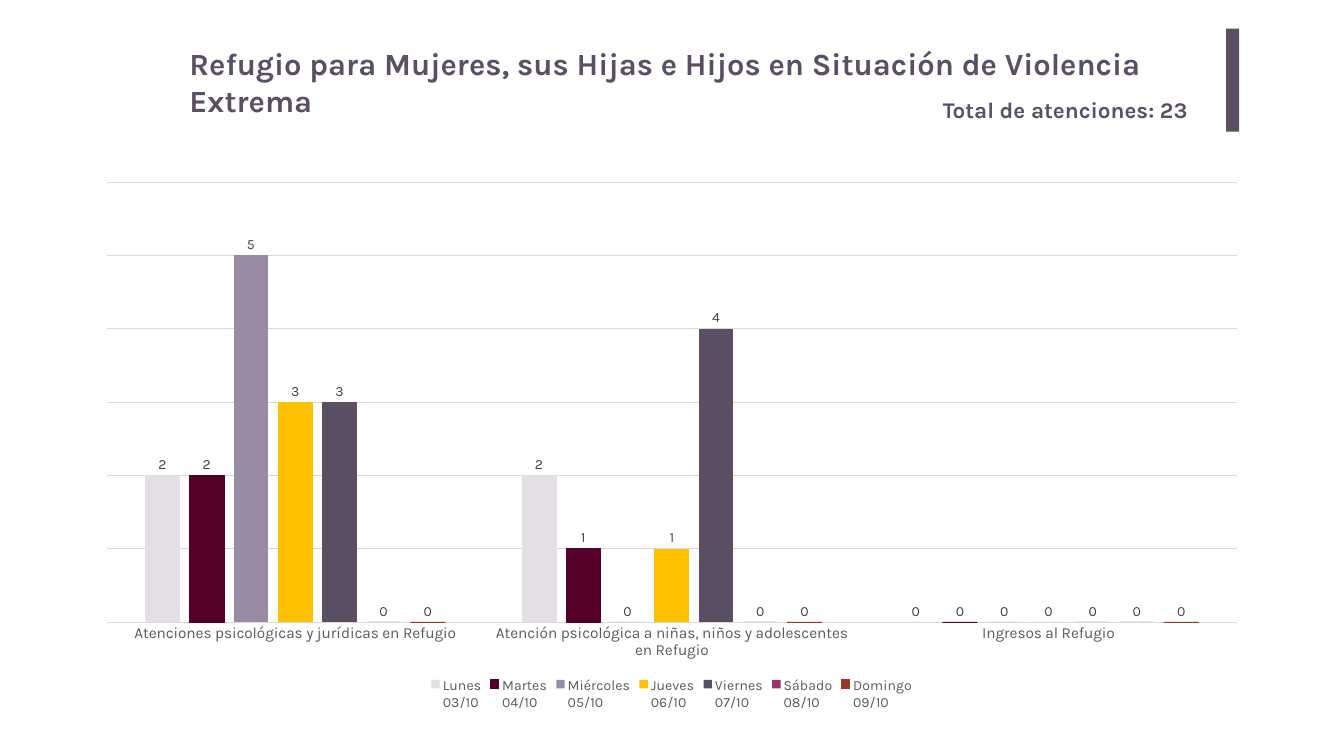
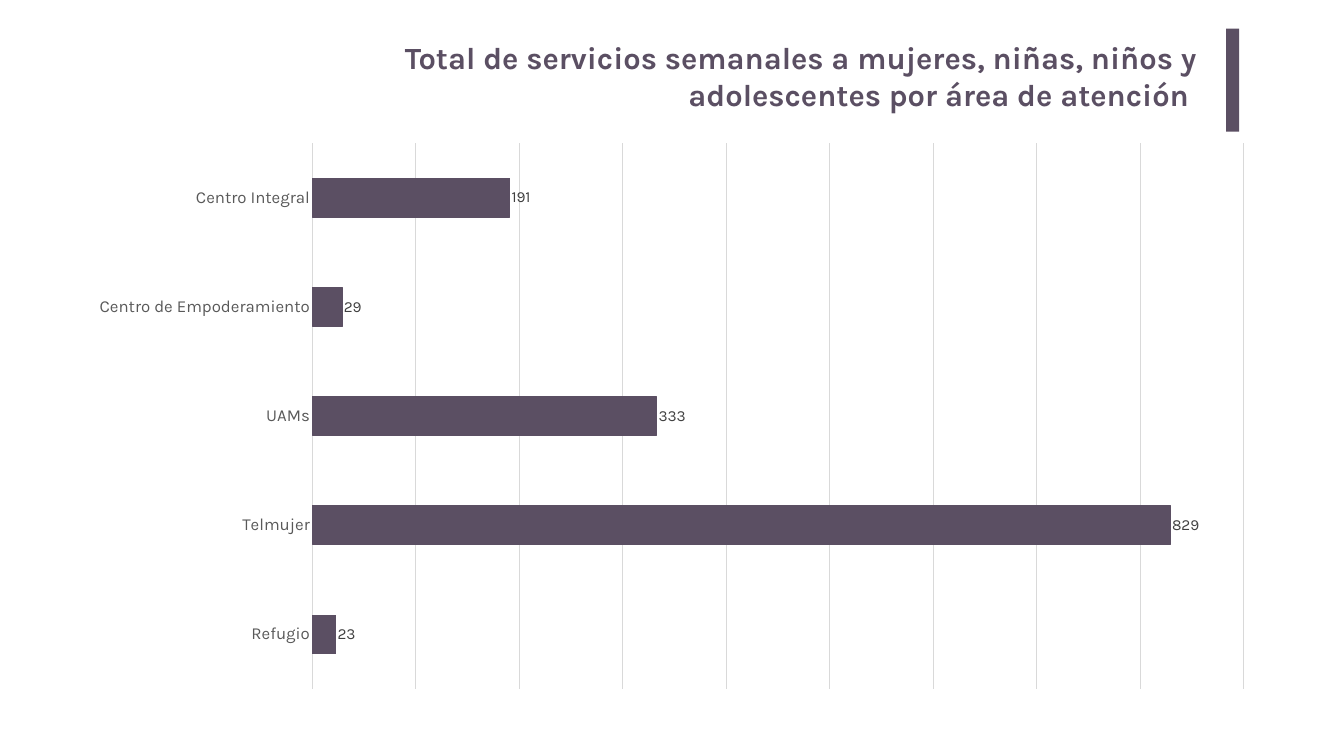
import pptx
import pptx.chart.data
import pptx.dml.color
import pptx.enum.chart
import pptx.enum.shapes
import pptx.enum.text
import pptx.oxml
import pptx.oxml.ns
import pptx.util

RGBColor = pptx.dml.color.RGBColor
ChartType = pptx.enum.chart.XL_CHART_TYPE
Align = pptx.enum.text.PP_ALIGN

PLUM = RGBColor(0x5B, 0x4F, 0x63)
MIST = RGBColor(0xE3, 0xDF, 0xE5)
WINE = RGBColor(0x54, 0x00, 0x2A)
LILAC = RGBColor(0x99, 0x8B, 0xA3)
AMBER = RGBColor(0xFF, 0xC0, 0x00)
MAGENTA = RGBColor(0x99, 0x33, 0x66)
BRICK = RGBColor(0x95, 0x37, 0x2B)
RULE_GREY = RGBColor(0xD9, 0xD9, 0xD9)
AXIS_GREY = RGBColor(0x59, 0x59, 0x59)
LABEL_GREY = RGBColor(0x40, 0x40, 0x40)
WHITE = RGBColor(0xFF, 0xFF, 0xFF)

FONT = "Karla"
WIDTH, HEIGHT = pptx.util.Inches(26.67), pptx.util.Inches(15)
TITLE_ONLY = 5
ACCENT_BAR = (91.23, 3.8, 0.97, 13.6)

REFUGE_CATEGORIES = [
    "Atenciones psicológicas y jurídicas en Refugio",
    "Atención psicológica a niñas, niños y adolescentes en Refugio",
    "Ingresos al Refugio",
]
REFUGE_DAYS = [
    ("Lunes\n03/10", (2, 2, 0), MIST, False),
    ("Martes\n04/10", (2, 1, 0), WINE, True),
    ("Miércoles\n05/10", (5, 0, 0), LILAC, False),
    ("Jueves\n06/10", (3, 1, 0), AMBER, False),
    ("Viernes\n07/10", (3, 4, 0), PLUM, False),
    ("Sábado\n08/10", (0, 0, 0), MAGENTA, False),
    ("Domingo\n09/10", (0, 0, 0), BRICK, True),
]
SERVICE_AREAS = ["Centro Integral", "Centro de Empoderamiento", "UAMs", "Telmujer", "Refugio"]
SERVICE_TOTALS = [("Series 1", (191, 29, 333, 829, 23), PLUM, True)]


def place(area):
    """Turn percentages of the slide into lengths."""
    return [round(share * side / 100) for share, side in zip(area, (WIDTH, HEIGHT) * 2)]


def set_values(target, values):
    for name, value in values.items():
        setattr(target, name, value)


def style_font(font, size, color, bold=False):
    set_values(font, {"name": FONT, "size": pptx.util.Pt(size), "bold": bold})
    font.color.rgb = color


def style_line(line, color):
    line.color.rgb = color
    line.width = pptx.util.Pt(0.75)


def write_text(box, text, size, align, margins):
    frame = box.text_frame
    set_values(frame, {
        "word_wrap": True,
        "auto_size": pptx.enum.text.MSO_AUTO_SIZE.NONE,
        "vertical_anchor": pptx.enum.text.MSO_ANCHOR.TOP,
    })
    side, edge = (pptx.util.Inches(margin) for margin in margins)
    set_values(frame, {"margin_left": side, "margin_right": side,
                       "margin_top": edge, "margin_bottom": edge})
    para = frame.paragraphs[0]
    set_values(para, {"alignment": align, "line_spacing": 1.0, "space_before": pptx.util.Pt(0)})
    span = para.add_run()
    span.text = text
    style_font(span.font, size, PLUM, bold=True)


def add_page(deck, title, area, align=Align.LEFT, margins=(0.1, 0.05)):
    page = deck.slides.add_slide(deck.slide_layouts[TITLE_ONLY])
    page.background.fill.solid()
    page.background.fill.fore_color.rgb = WHITE
    heading = page.shapes.title
    set_values(heading, dict(zip(("left", "top", "width", "height"), place(area))))
    write_text(heading, title, 44, align, margins)
    bar = page.shapes.add_shape(pptx.enum.shapes.MSO_SHAPE.RECTANGLE, *place(ACCENT_BAR))
    bar.shadow.inherit = False
    bar.fill.solid()
    bar.fill.fore_color.rgb = PLUM
    bar.line.fill.background()
    return page


def add_caption(page, text, area):
    box = page.shapes.add_textbox(*place(area))
    write_text(box, text, 32, Align.LEFT, (0.1, 0.05))


def fix_plot_area(chart, area, plot):
    shares = {
        "x": (plot[0] - area[0]) / area[2],
        "y": (plot[1] - area[1]) / area[3],
        "w": plot[2] / area[2],
        "h": plot[3] / area[3],
    }
    modes = '<c:layoutTarget val="inner"/><c:xMode val="edge"/><c:yMode val="edge"/>'
    sizes = "".join(f'<c:{name} val="{share:.4f}"/>' for name, share in shares.items())
    layout = pptx.oxml.parse_xml(
        f'<c:layout {pptx.oxml.ns.nsdecls("c")}>'
        f"<c:manualLayout>{modes}{sizes}</c:manualLayout></c:layout>"
    )
    plot_area = chart._chartSpace.chart.plotArea
    for present in plot_area.findall(pptx.oxml.ns.qn("c:layout")):
        plot_area.remove(present)
    plot_area.insert(0, layout)


def style_axes(chart, size, top, step):
    categories, values = chart.category_axis, chart.value_axis
    no_tick = pptx.enum.chart.XL_TICK_MARK.NONE
    set_values(categories, {"major_tick_mark": no_tick, "minor_tick_mark": no_tick,
                            "has_major_gridlines": False})
    style_font(categories.tick_labels.font, size, AXIS_GREY)
    style_line(categories.format.line, RULE_GREY)
    set_values(values, {"minimum_scale": 0, "maximum_scale": top, "major_unit": step,
                        "has_major_gridlines": True, "visible": False})
    style_line(values.major_gridlines.format.line, RULE_GREY)


def style_series(series, color, outlined, label_size):
    series.invert_if_negative = False
    series.format.fill.solid()
    series.format.fill.fore_color.rgb = color
    if outlined:
        style_line(series.format.line, color)
    labels = series.data_labels
    set_values(labels, {"show_value": True,
                        "position": pptx.enum.chart.XL_LABEL_POSITION.OUTSIDE_END})
    style_font(labels.font, label_size, LABEL_GREY)


def add_bars(page, kind, area, plot, categories, rows, sizes, scale, spacing):
    data = pptx.chart.data.CategoryChartData()
    data.categories = categories
    for name, values, color, outlined in rows:
        data.add_series(name, values)
    chart = page.shapes.add_chart(kind, *place(area), data).chart
    set_values(chart, {"has_title": False, "has_legend": False})
    style_font(chart.font, 10, RGBColor(0, 0, 0))
    bars = chart.plots[0]
    set_values(bars, {"vary_by_categories": False, **spacing})
    axis_size, label_size = sizes
    style_axes(chart, axis_size, *scale)
    for series, (name, values, color, outlined) in zip(bars.series, rows):
        style_series(series, color, outlined, label_size)
    fix_plot_area(chart, area, plot)
    return chart


def add_legend(chart):
    chart.has_legend = True
    set_values(chart.legend, {"position": pptx.enum.chart.XL_LEGEND_POSITION.BOTTOM,
                              "include_in_layout": False})
    style_font(chart.legend.font, 20, AXIS_GREY)


def main():
    deck = pptx.Presentation()
    set_values(deck, {"slide_width": WIDTH, "slide_height": HEIGHT})

    refuge = add_page(
        deck,
        "Refugio para Mujeres, sus Hijas e Hijos en Situación de Violencia Extrema",
        (13.72, 5.6, 77.73, 5.6),
    )
    add_caption(refuge, "Total de atenciones: 23", (69.78, 12.33, 20.06, 4.27))
    days = add_bars(
        refuge, ChartType.COLUMN_CLUSTERED,
        (6.22, 22.73, 87.51, 71.67), (7.95, 24.07, 84.07, 58.2),
        REFUGE_CATEGORIES, REFUGE_DAYS,
        sizes=(22, 20), scale=(6, 1), spacing={"gap_width": 219, "overlap": -27},
    )
    add_legend(days)

    services = add_page(
        deck,
        "Total de servicios semanales a mujeres, niñas, niños y adolescentes por área de atención ",
        (24.6, 4.47, 65.24, 13.6), Align.RIGHT, (0.2, 0.1),
    )
    totals = add_bars(
        services, ChartType.BAR_CLUSTERED,
        (5.66, 17.4, 88.71, 75.33), (23.21, 18.93, 69.33, 72.2),
        SERVICE_AREAS, SERVICE_TOTALS,
        sizes=(24, 22), scale=(900, 100), spacing={"gap_width": 182},
    )
    totals.category_axis.reverse_order = True

    deck.save("out.pptx")


if __name__ == "__main__":
    main()
